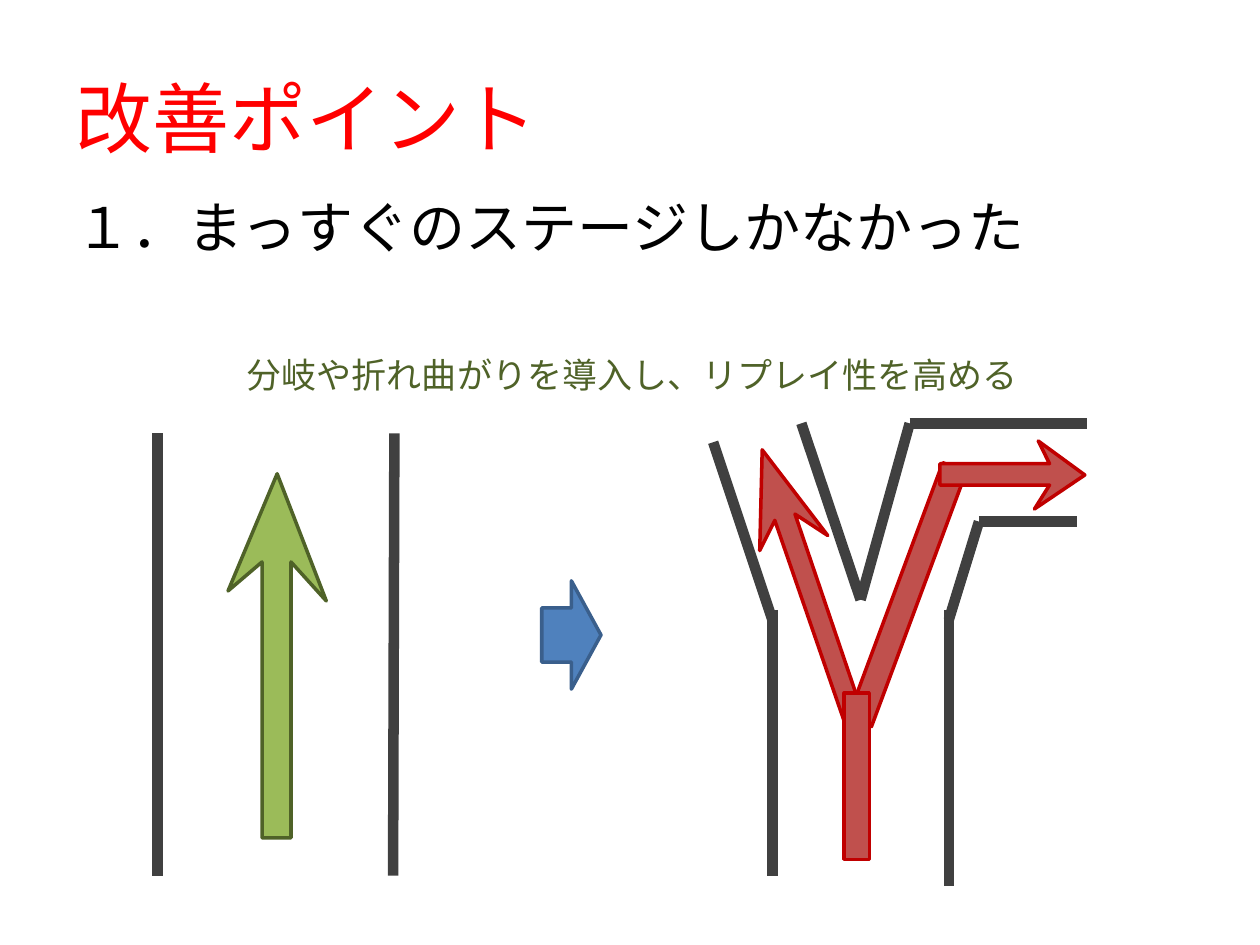
from dataclasses import dataclass

from lxml.etree import SubElement
from pptx import Presentation
from pptx.dml.color import RGBColor as RGB
from pptx.enum.shapes import MSO_CONNECTOR as Conn, MSO_SHAPE as Shape
from pptx.enum.text import MSO_ANCHOR as Anchor, PP_ALIGN as Align
from pptx.oxml.ns import qn
from pptx.util import Inches, Pt


@dataclass(frozen=True)
class Theme:
    font: str = "Calibri"
    title_size: int = 44
    body_size: int = 32
    note_size: int = 20
    title: str = "FF0000"
    body: str = "000000"
    note: str = "4F6228"
    wall: str = "404040"
    wall_width: int = 6
    outline_width: int = 2
    straight: tuple = ("9BBB59", "4F6228")
    branch: tuple = ("C0504D", "C00000")
    change: tuple = ("4F81BD", "3A5F8C")


T = Theme()
COLS, ROWS = 100, 75
CELL = Inches(10) // COLS

LEFT_WALLS = [
    [(12.5, 34.4), (12.5, 69.5)],
    [(31.3, 34.4), (31.2, 69.5)],
]
FORK_WALLS = [
    [(56.6, 35.1), (61.3, 49.2)],
    [(61.3, 48.4), (61.3, 69.5)],
    [(75.3, 48.4), (75.3, 70.3)],
    [(63.6, 33.6), (68.3, 47.6)],
    [(68.3, 47.6), (72.2, 33.6), (86.3, 33.6)],
    [(75.3, 49.2), (77.7, 41.4), (85.5, 41.4)],
]
STRAIGHT_ARROW = [(25.9, 47.7), (23.1, 44.6), (23.1, 66.5), (20.8, 66.5),
                  (20.8, 44.6), (18.1, 46.9), (22, 37.6)]
LEFT_ARROW = [(65.7, 42.5), (63.1, 40.8), (68.7, 57.3), (67.2, 57.8),
              (61.5, 41.3), (60.3, 43.7), (60.5, 35.7)]
RIGHT_ARROW = [(82.1, 40.4), (83.3, 38.5), (74.6, 38.5), (74.6, 36.8),
               (83.3, 36.8), (82.4, 35), (86.1, 37.7)]


def grid(*cells):
    return [round(c * CELL) for c in cells]


def paint(sp, colors):
    fill, line = colors
    sp.shadow.inherit = False
    sp.fill.solid()
    sp.fill.fore_color.rgb = RGB.from_string(fill)
    sp.line.color.rgb = RGB.from_string(line)
    sp.line.width = Pt(T.outline_width)


def add_text(s, box, text, size, color, anchor=Anchor.TOP, align=Align.LEFT, hanging=True):
    tf = s.shapes.add_textbox(*grid(*box)).text_frame
    tf.word_wrap = True
    tf.vertical_anchor = anchor
    p = tf.paragraphs[0]
    p.text = text
    p.alignment = align
    if hanging:
        p.space_before = Pt(size * 0.2)
        pPr = p._p.get_or_add_pPr()
        pPr.set("marL", str(Inches(0.38)))
        pPr.set("indent", str(-Inches(0.38)))
    r = p.runs[0]
    r.font.name = T.font
    r.font.size = Pt(size)
    r.font.color.rgb = RGB.from_string(color)


def add_wall(s, points):
    for start, end in zip(points, points[1:]):
        c = s.shapes.add_connector(Conn.STRAIGHT, *grid(*start, *end))
        c.line.color.rgb = RGB.from_string(T.wall)
        c.line.width = Pt(T.wall_width)
        SubElement(c._element.spPr, qn("a:effectLst"))


def add_arrow(s, points, colors):
    start, *rest = [grid(*pt) for pt in points]
    fb = s.shapes.build_freeform(*start)
    fb.add_line_segments(rest, close=True)
    paint(fb.convert_to_shape(), colors)


def add_block(s, kind, box, colors, rotation=0):
    sp = s.shapes.add_shape(kind, *grid(*box))
    sp.rotation = rotation
    paint(sp, colors)


def main():
    prs = Presentation()
    prs.slide_width, prs.slide_height = grid(COLS, ROWS)
    s = prs.slides.add_slide(prs.slide_layouts[6])

    add_text(s, (5, 3, 90, 12.5), "改善ポイント", T.title_size, T.title,
             anchor=Anchor.MIDDLE, hanging=False)
    add_text(s, (5, 14.8, 90, 6.7), "１．まっすぐのステージしかなかった", T.body_size, T.body)

    add_arrow(s, STRAIGHT_ARROW, T.straight)
    for wall in LEFT_WALLS:
        add_wall(s, wall)

    add_text(s, (5.2, 27.6, 90, 6.7), "分岐や折れ曲がりを導入し、リプレイ性を高める",
             T.note_size, T.note, align=Align.CENTER)

    for wall in FORK_WALLS:
        add_wall(s, wall)
    add_arrow(s, LEFT_ARROW, T.branch)
    add_block(s, Shape.RECTANGLE, (71, 36.4, 2, 21.6), T.branch, rotation=20.4)
    add_arrow(s, RIGHT_ARROW, T.branch)
    add_block(s, Shape.RECTANGLE, (67, 55, 2, 13.2), T.branch)

    add_block(s, Shape.RIGHT_ARROW, (43, 46.1, 4.7, 8.6), T.change)
    prs.save("out.pptx")


if __name__ == "__main__":
    main()
